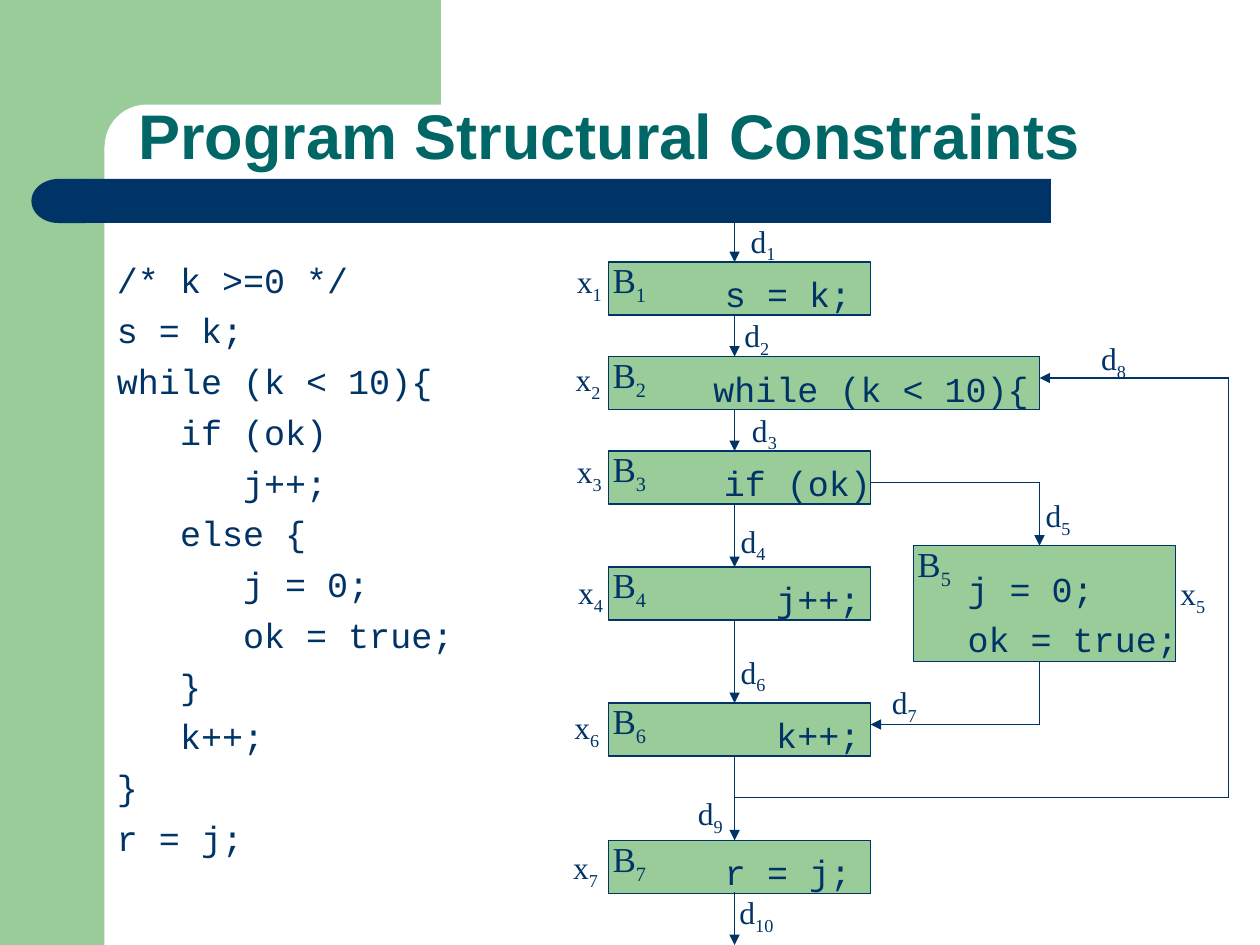
from lxml import etree
from pptx import Presentation
from pptx.dml.color import RGBColor
from pptx.enum.shapes import MSO_CONNECTOR, MSO_SHAPE
from pptx.enum.text import MSO_ANCHOR, PP_ALIGN
from pptx.oxml.ns import qn
from pptx.util import Inches, Pt

RECT, ROUNDED, DELAY = (MSO_SHAPE.RECTANGLE, MSO_SHAPE.ROUNDED_RECTANGLE,
                        MSO_SHAPE.FLOWCHART_DELAY)
STRAIGHT = MSO_CONNECTOR.STRAIGHT
TOP, MIDDLE, BOTTOM = MSO_ANCHOR.TOP, MSO_ANCHOR.MIDDLE, MSO_ANCHOR.BOTTOM
LEFT, CENTER = PP_ALIGN.LEFT, PP_ALIGN.CENTER

GREEN = RGBColor(0x99, 0xCC, 0x99)
NAVY = RGBColor(0x00, 0x33, 0x66)
TEAL = RGBColor(0x00, 0x66, 0x66)
WHITE = RGBColor(0xFF, 0xFF, 0xFF)
SANS, MONO, SERIF = "Arial", "Courier New", "Times New Roman"

# Content
TITLE = "Program Structural Constraints"
PROGRAM = [
    "/* k >=0 */",
    "s = k;",
    "while (k < 10){",
    "   if (ok)",
    "      j++;",
    "   else {",
    "      j = 0;",
    "      ok = true;",
    "   }",
    "   k++;",
    "}",
    "r = j;",
]

# Basic blocks: number, (left, top, width, height), code, code (left, width)
COLUMN, BLOCK_W, BLOCK_H = 4.83, 2.08, 0.42
BLOCKS = [
    (1, (COLUMN, 2.08, BLOCK_W, BLOCK_H), ["s = k;"], (5.67, 1.17)),
    (2, (COLUMN, 2.83, 3.42, BLOCK_H), ["while (k < 10){"], (5.58, 2.67)),
    (3, (COLUMN, 3.58, BLOCK_W, BLOCK_H), ["if (ok)"], (5.73, 1.2)),
    (4, (COLUMN, 4.5, BLOCK_W, BLOCK_H), ["j++;"], (6.08, 0.83)),
    (6, (COLUMN, 5.58, BLOCK_W, BLOCK_H), ["k++;"], (6.08, 0.83)),
    (7, (COLUMN, 6.67, BLOCK_W, BLOCK_H), ["r = j;"], (5.67, 1.17)),
    (5, (7.25, 4.33, BLOCK_W, 0.92), ["j = 0;", "ok = true;"], (7.68, 1.73)),
]

# Control flow: each route is a list of corners, with the arrowhead at its end
FLOW_X, BRANCH_X, LOOP_X = 5.83, 8.25, 9.75
COLUMN_RIGHT = COLUMN + BLOCK_W
STEPS = [(1.75, 2.08), (2.5, 2.83), (3.25, 3.58), (4, 4.5),
         (4.92, 5.58), (6, 6.67), (7.08, 7.5)]
ROUTES = [[(FLOW_X, start), (FLOW_X, end)] for start, end in STEPS] + [
    [(COLUMN_RIGHT, 3.83), (BRANCH_X, 3.83), (BRANCH_X, 4.33)],
    [(BRANCH_X, 5.25), (BRANCH_X, 5.75), (COLUMN_RIGHT, 5.75)],
    [(FLOW_X, 6.33), (LOOP_X, 6.33), (LOOP_X, 3), (BRANCH_X, 3)],
]

# Count variables: letter, then (left, top) for subscripts 1, 2, 3...
VARIABLES = {
    "d": [(5.86, 1.71), (5.81, 2.46), (5.87, 3.21), (5.78, 4.09), (8.2, 3.89),
          (5.78, 5.13), (6.98, 5.37), (8.64, 2.64), (5.44, 6.25), (5.77, 7.04)],
    "x": [(4.48, 2.03), (4.47, 2.81), (4.48, 3.54), (4.49, 4.5), (9.27, 4.51),
          (4.46, 5.57), (4.45, 6.68)],
}

prs = Presentation()
prs.slide_width, prs.slide_height = Inches(10), Inches(7.5)
slide = prs.slides.add_slide(prs.slide_layouts[6])
shapes = slide.shapes


def add_panel(kind, box, fill, outline=None):
    panel = shapes.add_shape(kind, *map(Inches, box))
    panel.shadow.inherit = False
    panel.fill.solid()
    panel.fill.fore_color.rgb = fill
    if outline is None:
        panel.line.fill.background()
    else:
        panel.line.color.rgb = outline
        panel.line.width = Pt(0.75)
    return panel


def add_text(box, lines, size, face, color=NAVY, anchor=TOP, align=LEFT,
             tight=False):
    frame = shapes.add_textbox(*map(Inches, box)).text_frame
    frame.word_wrap = not tight
    frame.vertical_anchor = anchor
    if tight:
        frame.margin_left = frame.margin_right = 0
        frame.margin_top = frame.margin_bottom = 0
    for i, line in enumerate(lines):
        paragraph = frame.paragraphs[0] if i == 0 else frame.add_paragraph()
        paragraph.text = line
        paragraph.alignment = align
        if i:
            paragraph.space_before = Pt(5)
        paragraph.font.size = Pt(size)
        paragraph.font.name = face
        paragraph.font.color.rgb = color
    return frame.paragraphs[0]


def add_symbol(box, letter, number, size, **layout):
    symbol = add_text(box, [letter], size, SERIF, **layout)
    subscript = symbol.add_run()
    subscript.text = str(number)
    subscript.font._element.set("baseline", "-25000")


def add_line(start, end, arrow):
    line = shapes.add_connector(STRAIGHT, *map(Inches, start + end))
    line.line.color.rgb = NAVY
    line.line.width = Pt(0.75)
    if arrow:
        head = etree.SubElement(line.line._get_or_add_ln(), qn("a:tailEnd"))
        head.set("type", "triangle")
    etree.SubElement(line._element.spPr, qn("a:effectLst"))


# Backdrop and title bar
add_panel(RECT, (0, 0, 0.83, 7.5), GREEN)
add_panel(RECT, (0.75, 0, 2.75, 1.17), GREEN)
add_panel(ROUNDED, (0.83, 0.83, 5.58, 0.67), WHITE).adjustments[0] = 0.5
add_panel(RECT, (0.67, 1.42, 7.67, 0.35), NAVY)
bar_end = add_panel(DELAY, (0.25, 1.42, 0.43, 0.35), NAVY)
bar_end._element.spPr.xfrm.set("flipH", "1")

# Title and program listing
title = add_text((1, 0.75, 8.75, 0.67), [TITLE], 36, SANS, TEAL, BOTTOM)
title.font.bold = True
title.line_spacing = 0.9
add_text((0.83, 2, 2.92, 5), PROGRAM, 20, MONO)

# Basic blocks
for number, (left, top, width, height), code, (code_left, code_width) in BLOCKS:
    add_panel(RECT, (left, top, width, height), GREEN, NAVY)
    add_symbol((left, top, 0.33, 0.33), "B", number, 20,
               anchor=MIDDLE, align=CENTER, tight=True)
    inset = 0.08 * len(code)
    add_text((code_left, top + inset, code_width, height - inset), code, 20, MONO,
             anchor=MIDDLE, align=CENTER if len(code) == 1 else LEFT, tight=True)

# Control flow
for route in ROUTES:
    for corner, following in zip(route, route[1:]):
        add_line(corner, following, arrow=following == route[-1])

# Edge and block counts
for letter, places in VARIABLES.items():
    for number, (left, top) in enumerate(places, start=1):
        add_symbol((left, top, 0.5, 0.44), letter, number, 18)

prs.save("out.pptx")
